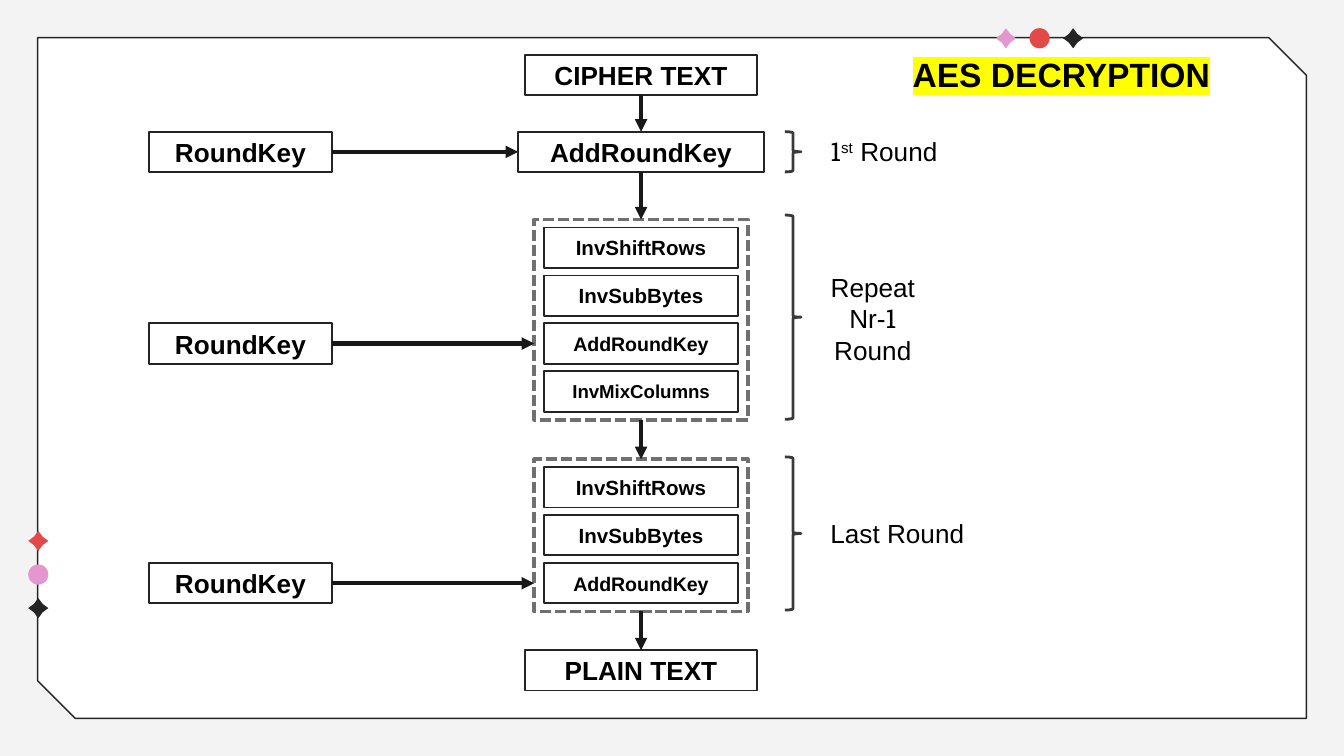
from typing import NamedTuple, Optional

from lxml.etree import SubElement
from pptx import Presentation
from pptx.dml.color import RGBColor
from pptx.enum.dml import MSO_LINE
from pptx.enum.shapes import MSO_CONNECTOR, MSO_SHAPE
from pptx.enum.text import MSO_ANCHOR, MSO_AUTO_SIZE, PP_ALIGN
from pptx.oxml.ns import qn
from pptx.util import Inches, Pt

# Grid: row 0 is the first round, rows are evenly spaced
SLIDE_W, SLIDE_H = 10, 10 * 9 / 16
TOP, ROW, BOX_H = 0.98, 3.21 / 9, 0.3
FLOW_X, KEY_X, BRACE_X, NOTE_X = 4.77, 1.79, 5.84, 6.08
FRAME_W, PAD = 1.59, 0.06
INK, ARROW, BRACE, DASH = "242424", "181818", "3A3A3A", "707070"
PINK, RED = "E496CE", "E44949"
TOP_, LEFT_, BOTTOM_, RIGHT_ = range(4)


class Box(NamedTuple):
    text: str
    row: float
    width: float
    size: float = 14
    x: float = FLOW_X


class Run(NamedTuple):
    text: str
    font: str = "Arial"
    raised: bool = False


class Note(NamedTuple):
    y: float
    width: float
    height: float
    lines: list
    align: PP_ALIGN = PP_ALIGN.LEFT


def rgb(color: str) -> RGBColor:
    return RGBColor.from_string(color)


def row_y(row: float) -> float:
    return TOP + row * ROW


def set_font(font, size: float, bold: bool = False) -> None:
    font.name, font.size, font.bold = "Arial", Pt(size), bold
    font.color.rgb = rgb("000000")


def add_shape(s, kind, x: float, y: float, w: float, h: float,
              fill: Optional[str] = None, line: Optional[str] = None, weight: float = 1):
    sp = s.shapes.add_shape(kind, Inches(x), Inches(y), Inches(w), Inches(h))
    sp.shadow.inherit = False
    if fill:
        sp.fill.solid()
        sp.fill.fore_color.rgb = rgb(fill)
    else:
        sp.fill.background()
    if line:
        sp.line.color.rgb = rgb(line)
        sp.line.width = Pt(weight)
    else:
        sp.line.fill.background()
    return sp


def add_box(s, box: Box):
    sp = add_shape(s, MSO_SHAPE.RECTANGLE, box.x - box.width / 2, row_y(box.row),
                   box.width, BOX_H, line=INK)
    tf = sp.text_frame
    tf.margin_left = tf.margin_right = tf.margin_top = tf.margin_bottom = Inches(0.1)
    tf.vertical_anchor = MSO_ANCHOR.MIDDLE
    p = tf.paragraphs[0]
    p.text, p.alignment = box.text, PP_ALIGN.CENTER
    set_font(p.font, box.size, True)
    return sp


def add_frame(s, first: int, last: int):
    y = row_y(first) - PAD
    sp = add_shape(s, MSO_SHAPE.RECTANGLE, FLOW_X - FRAME_W / 2, y, FRAME_W,
                   row_y(last) + BOX_H + PAD - y, line=DASH, weight=2)
    sp.line.dash_style = MSO_LINE.SQUARE_DOT
    return sp


def add_arrow(s, start, start_site: int, end=None, end_site: int = LEFT_,
              end_x: float = 0) -> None:
    """Join two shapes, or run level from a shape to end_x."""
    y = start.top + start.height // 2
    c = s.shapes.add_connector(MSO_CONNECTOR.STRAIGHT, start.left, y, Inches(end_x), y)
    c.begin_connect(start, start_site)
    if end is not None:
        c.end_connect(end, end_site)
    c.line.color.rgb = rgb(ARROW)
    c.line.width = Pt(2.25)
    SubElement(c.line._get_or_add_ln(), qn("a:tailEnd"), type="triangle")
    SubElement(c._element.spPr, qn("a:effectLst"))


def add_note(s, note: Note) -> None:
    tb = s.shapes.add_textbox(Inches(NOTE_X), Inches(note.y),
                              Inches(note.width), Inches(note.height))
    tf = tb.text_frame
    tf.word_wrap, tf.auto_size = False, MSO_AUTO_SIZE.SHAPE_TO_FIT_TEXT
    p = tf.paragraphs[0]
    p.alignment = note.align
    for i, line in enumerate(note.lines):
        if i:
            p.add_line_break()
        for part in line:
            r = p.add_run()
            r.text = part.text
            set_font(r.font, 14)
            r.font.name = part.font
            if part.raised:
                r.font._element.set("baseline", "30000")


def add_marks(s, x: float, y: float, dx: float, dy: float, colors: list) -> None:
    kinds = [MSO_SHAPE.STAR_4_POINT, MSO_SHAPE.OVAL, MSO_SHAPE.STAR_4_POINT]
    for i, (kind, color) in enumerate(zip(kinds, colors)):
        sp = add_shape(s, kind, x + i * dx, y + i * dy, 0.15, 0.15, fill=color)
        if kind == MSO_SHAPE.STAR_4_POINT:
            sp.adjustments[0] = 0.3


def add_title(s, text: str) -> None:
    sp = s.shapes.title
    sp.left, sp.top, sp.width, sp.height = map(Inches, (6.69, 0.35, 2.84, 0.4))
    tf = sp.text_frame
    tf.vertical_anchor, tf.auto_size = MSO_ANCHOR.TOP, MSO_AUTO_SIZE.NONE
    p = tf.paragraphs[0]
    p.alignment = PP_ALIGN.LEFT
    r = p.add_run()
    r.text = text
    set_font(p.font, 18, True)
    highlight = SubElement(r.font._element, qn("a:highlight"))
    SubElement(highlight, qn("a:srgbClr"), val="FFFF00")
    s.shapes._spTree.append(sp._element)  # in front of the card


def main() -> None:
    prs = Presentation()
    prs.slide_width, prs.slide_height = Inches(SLIDE_W), Inches(SLIDE_H)
    s = prs.slides.add_slide(prs.slide_layouts[5])
    s.background.fill.solid()
    s.background.fill.fore_color.rgb = rgb("F3F3F3")

    # Card and ornaments
    margin = 0.28
    card_h = SLIDE_H - 2 * margin
    card = add_shape(s, MSO_SHAPE.SNIP_2_DIAG_RECTANGLE, margin, margin,
                     SLIDE_W - 2 * margin, card_h, "FFFFFF", INK, 0.75)
    card.adjustments[0], card.adjustments[1] = 0, margin / card_h
    add_marks(s, 7.41, 0.21, 0.25, 0, [PINK, RED, INK])
    add_marks(s, 0.21, 3.95, 0, 0.25, [RED, PINK, INK])

    # Main flow
    cipher = add_box(s, Box("CIPHER TEXT", -1.6, 1.73))
    first_round = add_box(s, Box("AddRoundKey", 0, 1.83))
    plain = add_box(s, Box("PLAIN TEXT", 10.82, 1.73))
    steps = [("InvShiftRows", 11), ("InvSubBytes", 11),
             ("AddRoundKey", 10.5), ("InvMixColumns", 10)]
    frames = []
    for start, count in ((2, 4), (7, 3)):
        for i, (text, size) in enumerate(steps[:count]):
            add_box(s, Box(text, start + i, 1.44, size))
        frames.append(add_frame(s, start, start + count - 1))
    flow = [cipher, first_round, *frames, plain]
    for above, below in zip(flow, flow[1:]):
        add_arrow(s, above, BOTTOM_, below, TOP_)

    # Round keys
    for row in (0, 4, 9):
        key = add_box(s, Box("RoundKey", row, 1.36, x=KEY_X))
        if row == 0:
            add_arrow(s, key, RIGHT_, first_round, LEFT_)
        else:
            add_arrow(s, key, RIGHT_, end_x=FLOW_X - FRAME_W / 2)

    # Braces and round names
    for y, h in ((TOP, BOX_H), (1.6, 1.52), (3.4, 1.14)):
        add_shape(s, MSO_SHAPE.RIGHT_BRACE, BRACE_X, y, 0.12, h, line=BRACE, weight=1.5)
    slab = "Roboto Slab"
    for note in (
        Note(0.96, 1.02, 0.34, [[Run("1", slab), Run("st", raised=True), Run(" Round")]]),
        Note(1.97, 0.83, 0.81, [[Run("Repeat")], [Run("Nr-"), Run("1", slab)],
                                [Run("Round")]], PP_ALIGN.CENTER),
        Note(3.8, 1.39, 0.34, [[Run("Last Round")]]),
    ):
        add_note(s, note)

    add_title(s, "AES DECRYPTION")
    prs.save("out.pptx")


if __name__ == "__main__":
    main()
